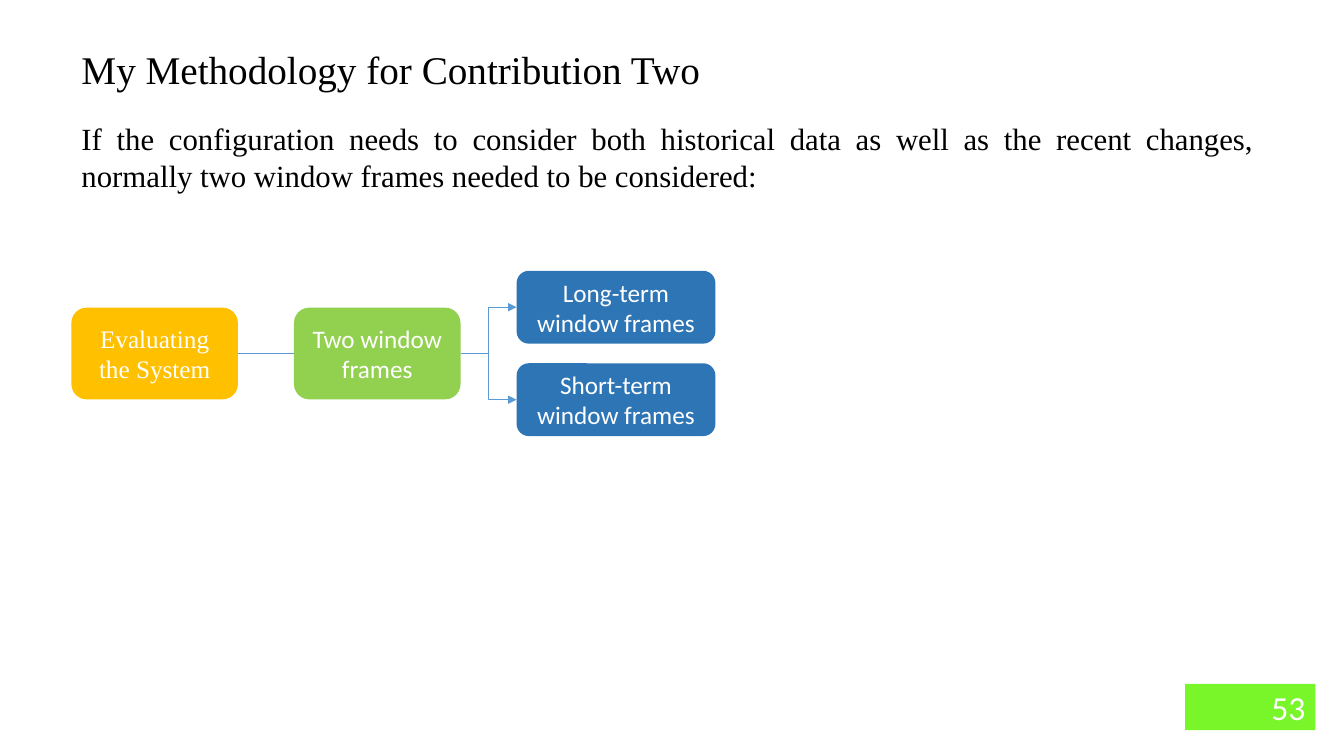
from dataclasses import dataclass

from lxml import etree
from pptx import Presentation
from pptx.dml.color import RGBColor
from pptx.enum.shapes import MSO_CONNECTOR, MSO_SHAPE
from pptx.enum.text import MSO_ANCHOR, MSO_AUTO_SIZE, PP_ALIGN
from pptx.oxml.ns import qn
from pptx.util import Pt

RECT, ROUNDED = MSO_SHAPE.RECTANGLE, MSO_SHAPE.ROUNDED_RECTANGLE
STRAIGHT, ELBOW = MSO_CONNECTOR.STRAIGHT, MSO_CONNECTOR.ELBOW
TOP, MIDDLE = MSO_ANCHOR.TOP, MSO_ANCHOR.MIDDLE
JUSTIFY, CENTER, RIGHT = PP_ALIGN.JUSTIFY, PP_ALIGN.CENTER, PP_ALIGN.RIGHT
NO_AUTOFIT = MSO_AUTO_SIZE.NONE


@dataclass(frozen=True)
class Theme:
    """Colours, fonts and type sizes of the slide."""
    text: str = "000000"
    light: str = "FFFFFF"
    system: str = "FFC000"
    frames: str = "92D050"
    term: str = "2E75B6"
    line: str = "5B9BD5"
    badge: str = "78F62A"
    serif: str = "Times New Roman"
    sans: str = "Calibri"
    title_size: int = 28
    body_size: int = 22
    box_size: int = 18
    number_size: int = 24


THEME = Theme()


def write_text(tf, text, font, size, color, align, anchor):
    """Write one formatted paragraph into a text frame."""
    tf.word_wrap = True
    tf.auto_size = NO_AUTOFIT
    tf.vertical_anchor = anchor
    p = tf.paragraphs[0]
    p.alignment = align
    p.space_before = Pt(0)
    r = p.add_run()
    r.text = text
    r.font.name, r.font.size = font, Pt(size)
    r.font.color.rgb = RGBColor.from_string(color)
    return p


def place_text(sp, box, text, size):
    """Move a placeholder to its box and fill it with justified text."""
    sp.left, sp.top, sp.width, sp.height = (Pt(v) for v in box)
    return write_text(sp.text_frame, text, THEME.serif, size, THEME.text, JUSTIFY, TOP)


def add_header(s, box):
    """Fill the title and the unbulleted body paragraph below it."""
    x, y, w, h = box
    place_text(s.shapes.title, (x, y, w, 41), "My Methodology for Contribution Two",
               THEME.title_size)
    p = place_text(s.placeholders[1], (x, y + 53.3, w - 37, h - 53.3),
                   "If the configuration needs to consider both historical data as well as "
                   "the recent changes, normally two window frames needed to be considered:",
                   THEME.body_size)
    pPr = p._p.get_or_add_pPr()
    pPr.set("marL", "0")
    pPr.set("indent", "0")
    etree.SubElement(pPr, qn("a:buNone"))


def add_box(s, kind, box, text, fill, font, size, align=CENTER):
    """Add a filled shape with white text."""
    sp = s.shapes.add_shape(kind, *(Pt(v) for v in box))
    sp.shadow.inherit = False
    sp.fill.solid()
    sp.fill.fore_color.rgb = RGBColor.from_string(fill)
    sp.line.fill.background()
    write_text(sp.text_frame, text, font, size, THEME.light, align, MIDDLE)
    return sp


def connect(s, kind, start, end, arrow=False):
    """Join the right side of one box to the left side of another."""
    cn = s.shapes.add_connector(kind, 0, 0, 0, 0)
    cn.begin_connect(start, 3)
    cn.end_connect(end, 1)
    cn.line.color.rgb = RGBColor.from_string(THEME.line)
    cn.line.width = Pt(0.5)
    if arrow:
        etree.SubElement(cn.line._get_or_add_ln(), qn("a:tailEnd"), type="triangle")
    etree.SubElement(cn._element.spPr, qn("a:effectLst"))


def add_flow(s, box):
    """Draw the evaluation flow that branches into two window frames."""
    x, y, w, h = box
    gap, step_w, step_h, term_w, term_h = 40, 119, 65.5, 142, 52
    step_y = y + (h - step_h) / 2
    system, frames = [
        add_box(s, ROUNDED, (x + i * (step_w + gap), step_y, step_w, step_h),
                text, fill, font, THEME.box_size)
        for i, (text, fill, font) in enumerate([
            ("Evaluating the System", THEME.system, THEME.serif),
            ("Two window frames", THEME.frames, THEME.sans)])]
    connect(s, STRAIGHT, system, frames)
    for term_y, text in ((y, "Long-term window frames"),
                         (y + h - term_h, "Short-term window frames")):
        term = add_box(s, ROUNDED, (x + w - term_w, term_y, term_w, term_h),
                       text, THEME.term, THEME.sans, THEME.box_size)
        connect(s, ELBOW, frames, term, arrow=True)


def add_page_number(s, box):
    """Add the slide number badge."""
    add_box(s, RECT, box, "53", THEME.badge, THEME.sans, THEME.number_size, RIGHT)


def main():
    """Build the slide and save it."""
    prs = Presentation()
    prs.slide_width, prs.slide_height = Pt(960), Pt(540)
    s = prs.slides.add_slide(prs.slide_layouts[1])
    add_header(s, (51, 28.8, 888.5, 113.8))
    add_flow(s, (51, 193.5, 460, 118))
    add_page_number(s, (846.5, 488.5, 93, 33))
    prs.save("out.pptx")


if __name__ == "__main__":
    main()
